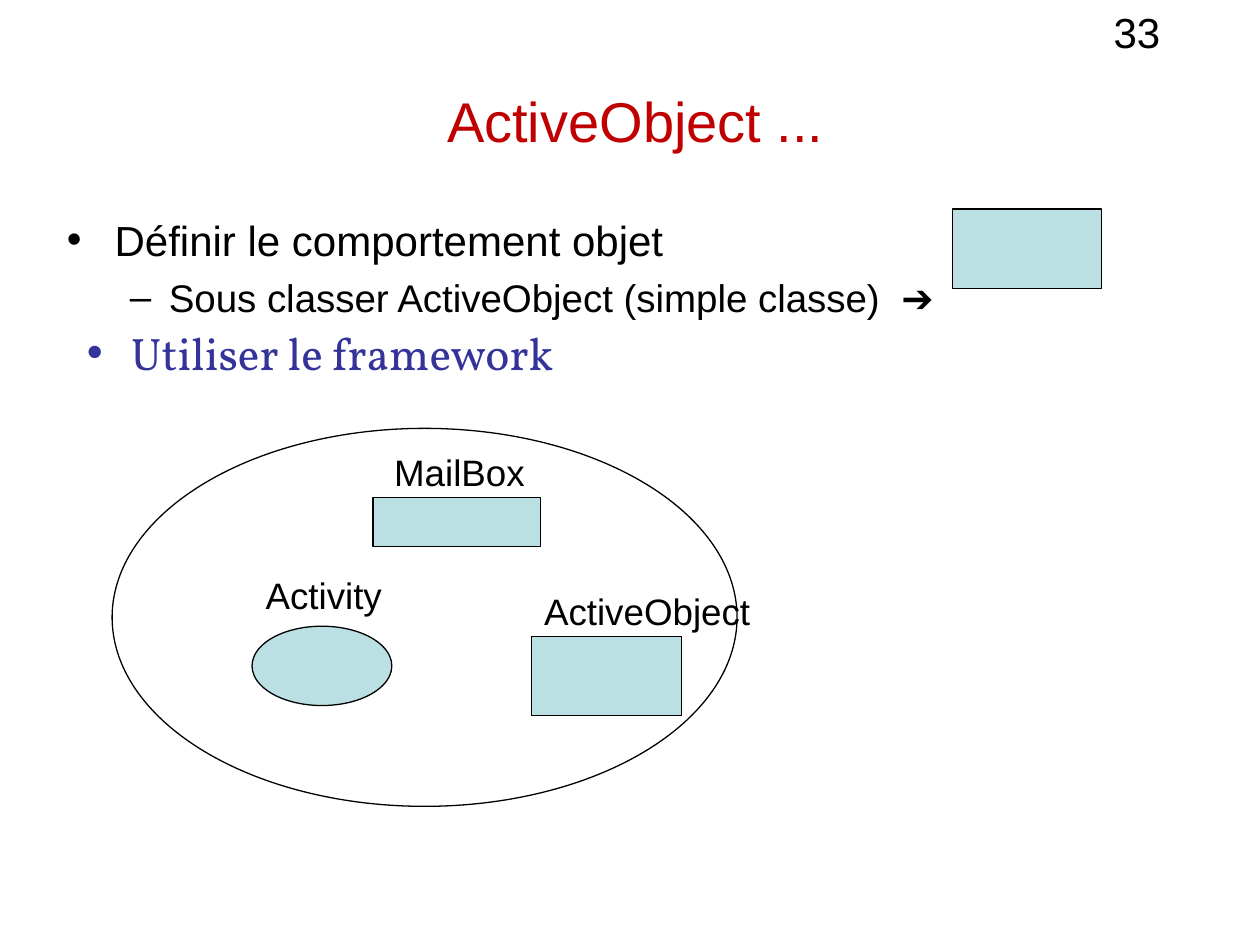
from lxml.etree import SubElement
from pptx import Presentation
from pptx.dml.color import RGBColor
from pptx.enum.shapes import MSO_SHAPE
from pptx.enum.text import MSO_ANCHOR, MSO_AUTO_SIZE, PP_ALIGN
from pptx.oxml.ns import qn
from pptx.util import Inches, Pt

COLORS = {"text": "000000", "title": "C00000", "accent": "333399", "fill": "BBE0E3"}


def rgb(name):
    """Return the named colour."""
    return RGBColor.from_string(COLORS[name])


def place(sp, x, y, w, h):
    """Move and size a shape in inches."""
    sp.left, sp.top, sp.width, sp.height = (Inches(v) for v in (x, y, w, h))


def set_frame(tf, wrap=True, anchor=MSO_ANCHOR.TOP, inset=0.05):
    """Set the wrapping, anchor and vertical insets of a text frame."""
    tf.word_wrap = wrap
    tf.auto_size = MSO_AUTO_SIZE.NONE
    tf.vertical_anchor = anchor
    tf.margin_left = tf.margin_right = Inches(0.1)
    tf.margin_top = tf.margin_bottom = Inches(inset)


def write(p, text, size=21, font="Arial", color="text", align=PP_ALIGN.LEFT,
          before=0, bullet=None, indent=0, hang=0, level=0):
    """Fill a paragraph with formatted text and an optional bullet."""
    p.level, p.alignment, p.space_before = level, align, Pt(before)
    r = p.add_run()
    r.text = text
    r.font.size, r.font.name, r.font.bold = Pt(size), font, False
    r.font.color.rgb = rgb(color)
    if bullet:
        pPr = p._p.get_or_add_pPr()
        pPr.set("marL", str(Inches(indent)))
        pPr.set("indent", str(-Inches(hang)))
        clr = SubElement(pPr, qn("a:buClr"))
        SubElement(clr, qn("a:srgbClr"), val=COLORS[color])
        SubElement(pPr, qn("a:buFont"), typeface="Arial")
        SubElement(pPr, qn("a:buChar"), char=bullet)


def add_text(s, box, text, wrap=False, **fmt):
    """Add a text box holding one paragraph."""
    sp = s.shapes.add_textbox(*(Inches(v) for v in box))
    set_frame(sp.text_frame, wrap)
    write(sp.text_frame.paragraphs[0], text, **fmt)


def add_node(s, kind, box, fill="fill"):
    """Add an outlined shape, unfilled when fill is None."""
    sp = s.shapes.add_shape(kind, *(Inches(v) for v in box))
    sp.shadow.inherit = False
    if fill:
        sp.fill.solid()
        sp.fill.fore_color.rgb = rgb(fill)
    else:
        sp.fill.background()
    sp.line.color.rgb = rgb("text")
    sp.line.width = Pt(0.75)


def add_title(s, box, text):
    """Fill the title placeholder."""
    sp = s.shapes.title
    place(sp, *box)
    set_frame(sp.text_frame, anchor=MSO_ANCHOR.MIDDLE)
    write(sp.text_frame.paragraphs[0], text, size=32, color="title", align=PP_ALIGN.CENTER)


def add_body(s, box, items):
    """Fill the body placeholder with bulleted items."""
    sp = s.placeholders[1]
    place(sp, *box)
    tf = sp.text_frame
    set_frame(tf, inset=0)
    for i, (text, fmt) in enumerate(items):
        p = tf.add_paragraph() if i else tf.paragraphs[0]
        write(p, text, **fmt)


def add_framework(s, x, y, w, h):
    """Draw the framework ellipse with its three labelled components."""
    add_node(s, MSO_SHAPE.OVAL, (x, y, w, h), fill=None)
    parts = [
        ("MailBox", MSO_SHAPE.RECTANGLE, (2.07, 0.55, 1.33, 0.39), (2.14, 0.12, 1.24)),
        ("Activity", MSO_SHAPE.OVAL, (1.11, 1.57, 1.11, 0.63), (1.12, 1.1, 1.12)),
        ("ActiveObject", MSO_SHAPE.RECTANGLE, (3.33, 1.65, 1.19, 0.63), (3.33, 1.22, 1.84)),
    ]
    for name, kind, (nx, ny, nw, nh), (tx, ty, tw) in parts:
        add_node(s, kind, (x + nx, y + ny, nw, nh))
        add_text(s, (x + tx, y + ty, tw, 0.45), name)


def main():
    """Build and save the slide."""
    prs = Presentation()
    prs.slide_width, prs.slide_height = Inches(10), Inches(7.5)
    s = prs.slides.add_slide(prs.slide_layouts[1])
    add_text(s, (8.74, 0, 1.72, 0.5), "33", size=24)
    add_title(s, (0.75, 0.45, 8.59, 1.01), "ActiveObject ...")
    add_body(s, (0.43, 1.7, 9.06, 4.96), [
        ("Définir le comportement objet",
         dict(size=24, before=6, bullet="•", indent=0.38, hang=0.38)),
        ("Sous classer ActiveObject (simple classe)  ➔",
         dict(size=22, before=5.5, bullet="–", indent=0.81, hang=0.31, level=1)),
    ])
    add_framework(s, 0.89, 3.4, 4.96, 3)
    add_node(s, MSO_SHAPE.RECTANGLE, (7.56, 1.66, 1.18, 0.63))
    add_text(s, (0.59, 2.53, 9.15, 0.63), "Utiliser le framework", wrap=True, size=26,
             font="Vollkorn", color="accent", before=6.5, bullet="•", indent=0.35, hang=0.35)
    prs.save("out.pptx")


main()
